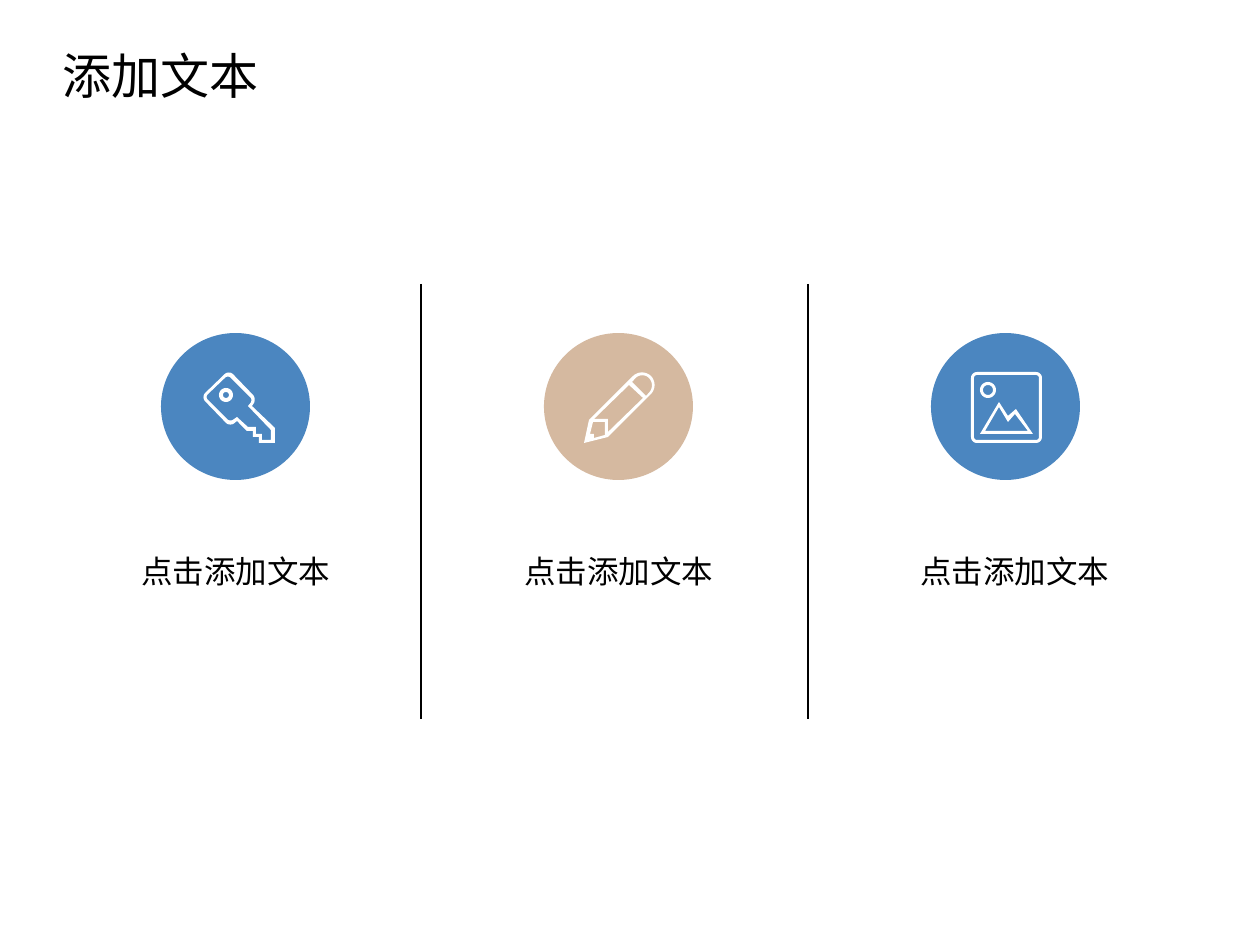
from lxml import etree
from pptx import Presentation
from pptx import util as u
from pptx.dml.color import RGBColor
from pptx.enum import shapes, text
from pptx.oxml import ns

EMU_PER_PX = 914400 / 126
FONT = "Noto Sans CJK SC"
BLACK = RGBColor(0x00, 0x00, 0x00)
WHITE = RGBColor(0xFF, 0xFF, 0xFF)
BLUE = RGBColor(0x4B, 0x86, 0xC0)
SAND = RGBColor(0xD5, 0xB9, 0xA0)

COLUMN_LEFT, COLUMN_WIDTH = 34, 387
COLUMN_TOP, COLUMN_HEIGHT = 284, 435


def px(length):
    return u.Emu(round(length * EMU_PER_PX))


def disc(x, y, radius):
    """A circle, given as a square whose corners are fully rounded."""
    return [(x + i * radius, y + j * radius, radius)
            for i, j in ((-1, -1), (1, -1), (1, 1), (-1, 1))]


def panel(inset, radius):
    low, high = inset, 71 - inset
    return [(low, low, radius), (high, low, radius),
            (high, high, radius), (low, high, radius)]


# Icon contours in px: corners (x, y) or (x, y, rounding); inner ones are holes
KEY = [
    [(25, -2, 6), (53, 27, 6), (48, 34), (71, 56), (71, 71), (55, 71), (55, 65),
     (49, 65), (49, 59), (43, 59), (33, 49), (26, 55, 6), (-3, 25, 6)],
    [(24, 3, 4), (49, 28, 4), (44, 34), (67, 58), (67, 68), (58, 68), (58, 62),
     (52, 62), (52, 55), (44, 55), (33, 45), (26, 50, 4), (1, 25, 4)],
    disc(22, 23, 7), disc(22, 23, 3),
]
PENCIL = [
    [(0, 71), (5, 48), (58, -5, 13), (76, 13, 13), (24, 65)],
    [(48, 10), (58, -1, 10), (72, 13, 10), (62, 24)],
    [(24, 60), (24, 47), (10, 47), (45, 13), (59, 26)],
    [(21, 63), (10, 66), (10, 62), (6, 62), (9, 50), (21, 50)],
]
LANDSCAPE = [
    panel(0, 6), panel(3, 3),
    [(9, 62), (28, 30), (37, 44), (45, 37), (62, 62)],
    [(14, 59), (28, 35), (37, 50), (44, 42), (57, 59)],
    disc(17, 18, 8), disc(17, 18, 5),
]

# Offsets are measured from the left edge of each column
COLUMNS = [
    {"color": BLUE, "icon": KEY, "circle": 127, "icon_left": 170, "label": 95},
    {"color": SAND, "icon": PENCIL, "circle": 123, "icon_left": 163, "label": 91},
    {"color": BLUE, "icon": LANDSCAPE, "circle": 123, "icon_left": 163, "label": 100},
]


def round_corners(corners, steps=8):
    """Turn corners into points, with a cubic curve at each rounded corner."""
    points = []
    for index, (x, y, *rounding) in enumerate(corners):
        if not rounding:
            points.append((x, y))
            continue
        ends = []
        for neighbour in (corners[index - 1], corners[(index + 1) % len(corners)]):
            dx, dy = neighbour[0] - x, neighbour[1] - y
            ratio = rounding[0] / (dx * dx + dy * dy) ** 0.5
            ends.append((x + dx * ratio, y + dy * ratio))
        for step in range(steps + 1):
            t = step / steps
            start = (1 - t) ** 3 + 1.35 * t * (1 - t) ** 2
            end = t ** 3 + 1.35 * t * t * (1 - t)
            middle = 1 - start - end
            points.append(tuple(start * a + middle * c + end * b
                                for a, c, b in zip(ends[0], (x, y), ends[1])))
    return points


def fill_plain(shape, color):
    shape.shadow.inherit = False
    shape.fill.solid()
    shape.fill.fore_color.rgb = color
    shape.line.fill.background()


def write_text(shape, words, size):
    frame = shape.text_frame
    frame_format = {
        "word_wrap": False,
        "auto_size": text.MSO_AUTO_SIZE.SHAPE_TO_FIT_TEXT,
        "vertical_anchor": text.MSO_ANCHOR.TOP,
    }
    for name, value in frame_format.items():
        setattr(frame, name, value)
    paragraph = frame.paragraphs[0]
    paragraph.alignment = text.PP_ALIGN.LEFT
    run = paragraph.add_run()
    run.text = words
    for name, value in {"name": FONT, "size": u.Pt(size)}.items():
        setattr(run.font, name, value)
    run.font.color.rgb = BLACK
    east_asian = etree.SubElement(run.font._element, ns.qn("a:ea"))
    east_asian.set("typeface", FONT)


def add_title(slide, left, top, width, height):
    title = slide.shapes.title
    box = {"left": left, "top": top, "width": width, "height": height}
    for name, value in box.items():
        setattr(title, name, px(value))
    write_text(title, "添加文本", 28)


def add_icon(slide, contours, left, top):
    builder = None
    for contour in contours:
        points = [(px(x), px(y)) for x, y in round_corners(contour)]
        if builder is None:
            builder = slide.shapes.build_freeform(*points[0])
        else:
            builder.move_to(*points[0])
        builder.add_line_segments(points[1:], close=True)
    fill_plain(builder.convert_to_shape(px(left), px(top)), WHITE)


def add_divider(slide, x, top, height):
    line = slide.shapes.add_connector(
        shapes.MSO_CONNECTOR.STRAIGHT, px(x), px(top), px(x), px(top + height))
    line.line.color.rgb = BLACK
    line.line.width = u.Pt(1)
    etree.SubElement(line._element.spPr, ns.qn("a:effectLst"))


def add_column(slide, left, top, column):
    # Circle with its icon
    circle = slide.shapes.add_shape(
        shapes.MSO_SHAPE.OVAL, px(left + column["circle"]), px(top + 49),
        px(149), px(147))
    fill_plain(circle, column["color"])
    add_icon(slide, column["icon"], left + column["icon_left"], top + 88)
    # Label
    label = slide.shapes.add_textbox(
        px(left + column["label"]), px(top + 262), px(214), px(50))
    write_text(label, "点击添加文本", 18)


def main():
    presentation = Presentation()
    presentation.slide_width, presentation.slide_height = u.Inches(10), u.Inches(7.5)
    slide = presentation.slides.add_slide(presentation.slide_layouts[5])
    add_title(slide, 50, 39, 221, 72)
    for index, column in enumerate(COLUMNS):
        left = COLUMN_LEFT + index * COLUMN_WIDTH
        if index:
            add_divider(slide, left, COLUMN_TOP, COLUMN_HEIGHT)
        add_column(slide, left, COLUMN_TOP, column)
    presentation.save("out.pptx")


if __name__ == "__main__":
    main()
